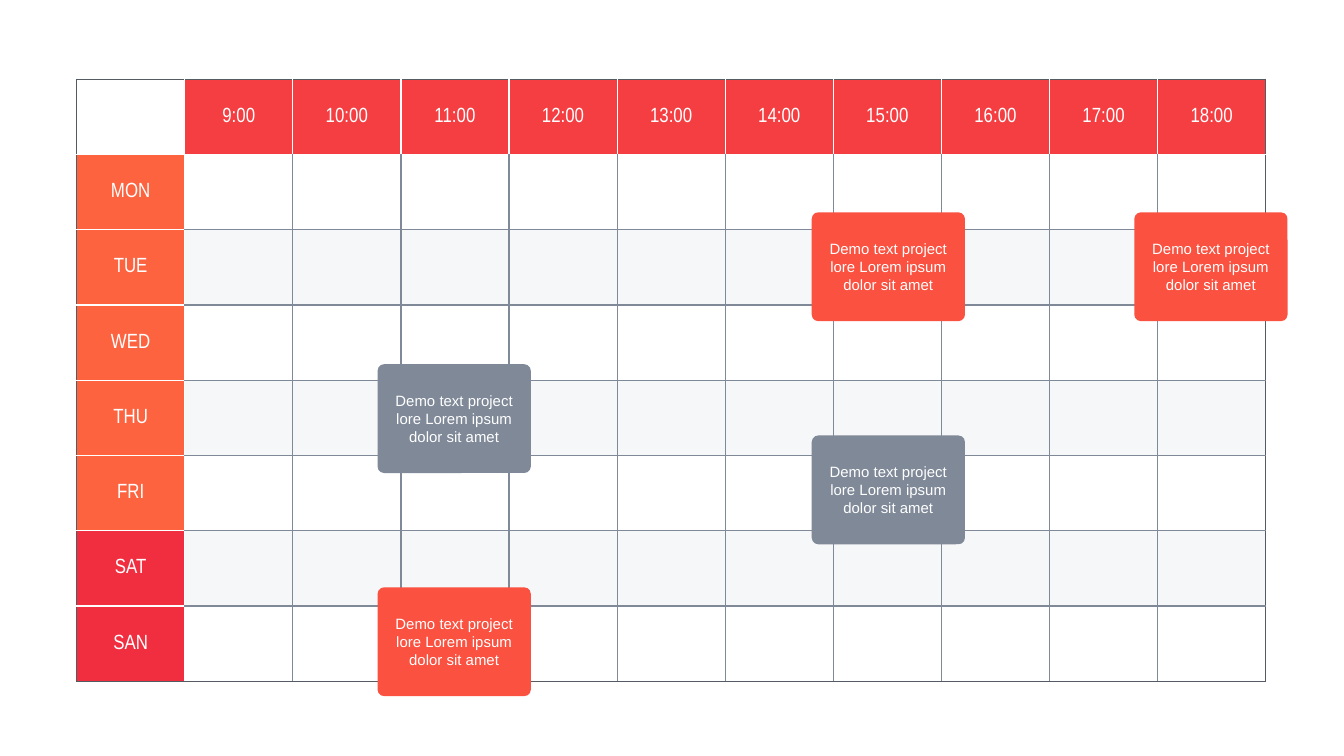
from lxml.etree import SubElement
from pptx import Presentation
from pptx.dml.color import RGBColor
from pptx.enum.shapes import MSO_SHAPE as Shape
from pptx.enum.text import MSO_ANCHOR as Anchor, PP_ALIGN as Align
from pptx.oxml import parse_xml
from pptx.oxml.ns import nsdecls, qn
from pptx.util import Inches, Pt

WHITE = RGBColor(0xFF, 0xFF, 0xFF)
DARK = RGBColor(0x54, 0x5B, 0x63)
GREY = RGBColor(0x7F, 0x89, 0x98)
PALE = RGBColor(0xEE, 0xF0, 0xF4)
RED = RGBColor(0xF5, 0x3E, 0x42)
ORANGE = RGBColor(0xFE, 0x63, 0x40)
CRIMSON = RGBColor(0xF1, 0x2E, 0x40)
CORAL = RGBColor(0xFA, 0x51, 0x40)

HOURS = [f"{hour}:00" for hour in range(9, 19)]
DAYS = ["MON", "TUE", "WED", "THU", "FRI", "SAT", "SAN"]
ROWS, COLS = len(DAYS) + 1, len(HOURS) + 1
WIDE, HIGH = 8.85, 4.48
NOTE = "Demo text project lore Lorem ipsum dolor sit amet"
NOTES = [
    (6.04, 1.58, CORAL),
    (2.81, 2.71, GREY),
    (6.04, 3.24, GREY),
    (2.81, 4.37, CORAL),
    (8.44, 1.58, CORAL),
]
CELL = {
    "vertical_anchor": Anchor.MIDDLE,
    "margin_left": Inches(0.04),
    "margin_right": Inches(0.04),
    "margin_top": Inches(0.02),
    "margin_bottom": Inches(0.02),
}
FRAME = {
    "word_wrap": True,
    "vertical_anchor": Anchor.MIDDLE,
    "margin_left": Inches(0.02),
    "margin_right": Inches(0.02),
    "margin_top": Inches(0.02),
    "margin_bottom": Inches(0.02),
}


def write(frame, text, face, size):
    para = frame.paragraphs[0]
    para.alignment = Align.CENTER
    run = para.add_run()
    run.text = text
    for key, value in {"name": face, "size": Pt(size)}.items():
        setattr(run.font, key, value)
    run.font.color.rgb = WHITE


def edge(line, last, white):
    if line in (0, last):
        return DARK
    return WHITE if white else GREY


deck = Presentation()
deck.slide_width, deck.slide_height = Inches(10), Inches(10 * 9 / 16)
slide = deck.slides.add_slide(deck.slide_layouts[6])

grid = slide.shapes.add_table(
    ROWS, COLS, Inches(0.57), Inches(0.59), Inches(WIDE), Inches(HIGH)
).table
grid.first_row = grid.horz_banding = False
for col in grid.columns:
    col.width = Inches(WIDE / COLS)
for row in grid.rows:
    row.height = Inches(HIGH / ROWS)

for r in range(ROWS):
    for c in range(COLS):
        cell = grid.cell(r, c)
        for key, value in CELL.items():
            setattr(cell, key, value)

        text, fill = "", None
        if r == 0 and c > 0:
            text, fill = HOURS[c - 1], RED
        elif c == 0 and r > 0:
            text, fill = DAYS[r - 1], ORANGE if r < 6 else CRIMSON
        elif r > 0 and r % 2 == 0:
            fill = PALE
        if text:
            write(cell.text_frame, text, "Arial Narrow", 11)

        props = cell._tc.get_or_add_tcPr()
        if fill is None:
            cell.fill.background()
        else:
            cell.fill.solid()
            cell.fill.fore_color.rgb = fill
        if fill == PALE:
            tint = props.find(".//" + qn("a:srgbClr"))
            SubElement(tint, qn("a:alpha")).set("val", "50000")

        sides = {
            "lnL": edge(c, COLS, r == 0 or c == 1),
            "lnR": edge(c + 1, COLS, r == 0 or c == 0),
            "lnT": edge(r, ROWS, c == 0 or r == 1),
            "lnB": edge(r + 1, ROWS, c == 0 or r == 0),
        }
        for spot, (side, tone) in enumerate(sides.items()):
            props.insert(spot, parse_xml(
                f'<a:{side} {nsdecls("a")} w="{Pt(0.75)}"><a:solidFill>'
                f'<a:srgbClr val="{tone}"/></a:solidFill></a:{side}>'
            ))

for left, top, tone in NOTES:
    card = slide.shapes.add_shape(
        Shape.ROUNDED_RECTANGLE, Inches(left), Inches(top), Inches(1.14), Inches(0.81)
    )
    card.adjustments[0] = 0.06
    card.shadow.inherit = False
    card.fill.solid()
    card.fill.fore_color.rgb = tone
    card.line.fill.background()
    for key, value in FRAME.items():
        setattr(card.text_frame, key, value)
    write(card.text_frame, NOTE, "Arial", 8)

deck.save("out.pptx")
